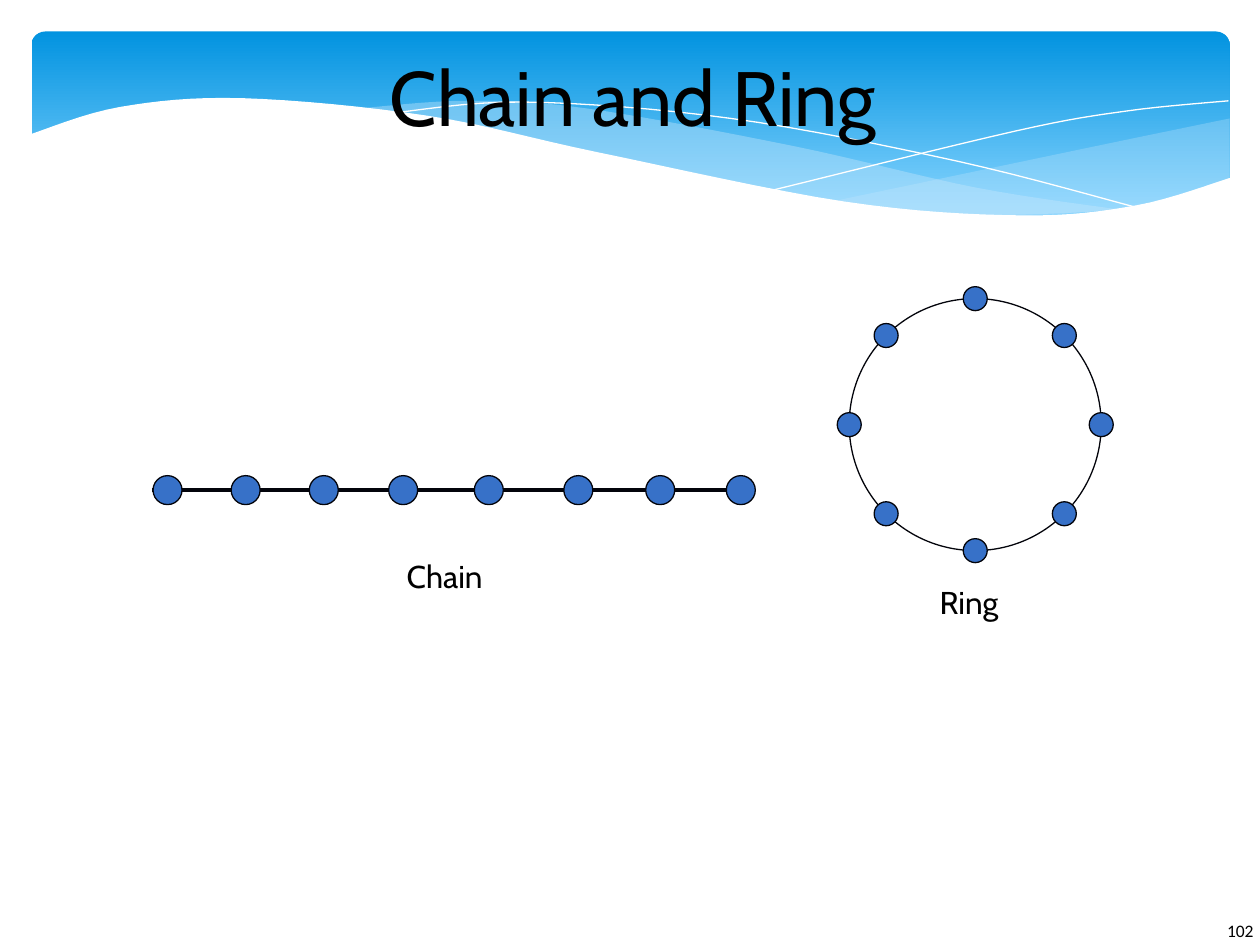
from dataclasses import dataclass
from math import cos, pi, sin

from lxml.etree import SubElement
from pptx import Presentation
from pptx.dml.color import RGBColor as Rgb
from pptx.enum.shapes import MSO_CONNECTOR as Link, MSO_SHAPE as Form
from pptx.enum.text import MSO_ANCHOR as Anchor, PP_ALIGN as Align
from pptx.oxml.ns import qn
from pptx.util import Inches, Pt

COLS, ROWS, STEPS = 100, 75, 8
HEX = {"deep": "0293E0", "sky": "83D3FE", "mist": "C6E7FC", "white": "FFFFFF",
       "dot": "3771C8", "ink": "03040B", "black": "000000"}
Point = tuple[float, float]


@dataclass
class Wave:
    edges: list[list[Point]]
    fill: str | None = None
    alpha: int = 100
    line: str | None = None


@dataclass
class Label:
    text: str
    col: float
    row: float
    wide: float
    size: int = 18
    font: str = "Cabin"


WAVES = [
    Wave([[(97.6, 9.4), (86, 11.8), (66, 16)],
          [(66, 16), (78, 17.2), (90.5, 16.3), (97.6, 14.1)]], "mist", 29),
    Wave([[(28.6, 8.6), (37, 8), (46.5, 8.6), (63, 11.6), (77.5, 14.9), (89.3, 16.7)],
          [(89.3, 16.7), (75, 17), (60, 15), (45, 11.6), (28.6, 8.6)]], "mist", 40),
    Wave([[(30.9, 9), (41.6, 8.1), (58, 9.4), (76, 12.8), (90.7, 16.6)]], line="white"),
    Wave([[(61.3, 15.1), (80.6, 10.4), (89.5, 8.8), (97.5, 8)]], line="white"),
    Wave([[(97.7, 14.1), (90.2, 16.3), (81, 17.1), (67, 16), (47.5, 12.1), (34, 9.2),
           (19.3, 7.8), (9.5, 8.5), (2.3, 10.7)],
          [(2.3, 22.4), (97.7, 22.4)]], "white"),
]
CHAIN = [13.3, 19.5, 25.7, 32, 38.8, 45.9, 52.4, 58.8]
LABELS = [Label("102", 96.4, 72.5, 6.1, 10, "Calibri"),
          Label("Chain", 31.3, 43.7, 23.3), Label("Ring", 73.6, 45.8, 23.3)]

deck = Presentation()
deck.slide_width, deck.slide_height = Inches(10), Inches(7.5)
slide = deck.slides.add_slide(deck.slide_layouts[5])
shapes = slide.shapes


def across(n: float) -> int:
    return round(deck.slide_width * n / COLS)


def down(n: float) -> int:
    return round(deck.slide_height * n / ROWS)


def tint(name: str) -> Rgb:
    return Rgb.from_string(HEX[name])


def trace(shape, line: str | None) -> None:
    if line:
        shape.line.color.rgb = tint(line)
        shape.line.width = Pt(0)
    else:
        shape.line.fill.background()


def paint(shape, fill: str | None = None, line: str | None = None) -> None:
    shape.shadow.inherit = False
    if fill:
        shape.fill.solid()
        shape.fill.fore_color.rgb = tint(fill)
    else:
        shape.fill.background()
    trace(shape, line)


def write(frame, text: str, *, size: int, font: str = "Cabin",
          color: str = "black", align=Align.LEFT) -> None:
    frame.word_wrap = True
    para = frame.paragraphs[0]
    para.alignment = align
    run = para.add_run()
    run.text = text
    run.font.name, run.font.size = font, Pt(size)
    run.font.color.rgb = tint(color)


def blend(a: float, b: float, c: float, d: float, t: float) -> float:
    return b + t / 2 * (c - a + t * (2 * a - 5 * b + 4 * c - d
                                     + t * (3 * (b - c) + d - a)))


def bend(knots: list[Point]) -> list[Point]:
    ends = [knots[0], *knots, knots[-1]]
    curve = [tuple(blend(*axis, step / STEPS) for axis in zip(*ends[i:i + 4]))
             for i in range(len(knots) - 1) for step in range(STEPS)]
    return curve + [knots[-1]]


def draw_wave(wave: Wave) -> None:
    pts = [(across(x), down(y)) for edge in wave.edges for x, y in bend(edge)]
    pen = shapes.build_freeform(*pts[0])
    pen.add_line_segments(pts[1:], close=wave.fill is not None)
    shape = pen.convert_to_shape()
    paint(shape, wave.fill, wave.line)
    if wave.alpha < COLS:
        color = shape._element.spPr.find(qn("a:solidFill"))[0]
        SubElement(color, qn("a:alpha"), val=f"{wave.alpha}000")


def draw_disc(x: float, y: float, wide: float, fill: str | None = "dot") -> None:
    disc = shapes.add_shape(Form.OVAL, across(x - wide / 2), down(y - wide / 2),
                            across(wide), down(wide))
    paint(disc, fill, "ink")


def draw_label(label: Label) -> None:
    box = shapes.add_textbox(across(label.col), down(label.row),
                             across(label.wide), down(4))
    write(box.text_frame, label.text, size=label.size, font=label.font)


def draw_banner() -> None:
    band = shapes.add_shape(Form.ROUNDED_RECTANGLE, across(2.5), down(2.5),
                            across(95.1), down(15.6))
    band.adjustments[0] = 0.07
    paint(band)
    band.fill.gradient()
    band.fill.gradient_angle = 270
    for stop, name, place in zip(band.fill.gradient_stops, ("deep", "sky"), (0, 0.9)):
        stop.color.rgb, stop.position = tint(name), place
    for wave in WAVES:
        draw_wave(wave)


def draw_title() -> None:
    title = shapes.title
    title.left, title.top = across(9.7), down(2.5)
    title.width, title.height = across(81.1), down(10.2)
    frame = title.text_frame
    frame.margin_left = frame.margin_right = frame.margin_top = frame.margin_bottom = 0
    frame.vertical_anchor = Anchor.MIDDLE
    write(frame, "Chain and Ring", size=44, align=Align.CENTER)
    shapes._spTree.append(title._element)


def draw_ring(x: float, y: float, arm: float, count: int) -> None:
    draw_disc(x, y, 2 * arm, None)
    for i in range(count):
        turn = 2 * pi * i / count
        draw_disc(x + arm * cos(turn), y + arm * sin(turn), 1.9)


def draw_chain(row: float) -> None:
    rod = shapes.add_connector(Link.STRAIGHT, across(12.1), down(row),
                               across(59.3), down(row))
    trace(rod, "ink")
    SubElement(rod._element.spPr, qn("a:effectLst"))
    for col in CHAIN:
        draw_disc(col, row, 2.3)


draw_banner()
draw_title()
draw_ring(77.4, 33.7, 10, 8)
draw_chain(38.9)
for label in LABELS:
    draw_label(label)
deck.save("out.pptx")
